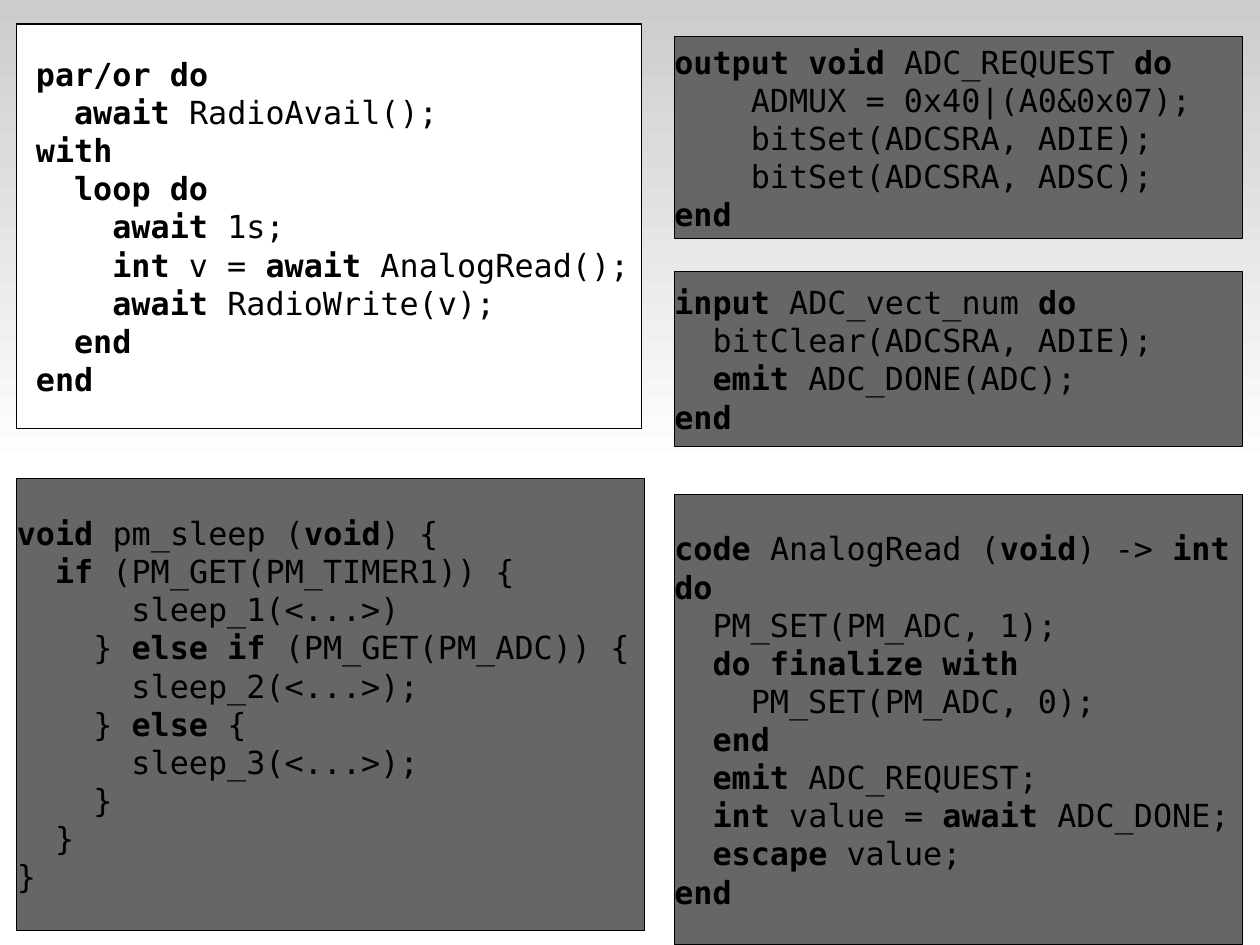
from pptx import Presentation
from pptx.dml.color import RGBColor
from pptx.enum.shapes import MSO_SHAPE
from pptx.enum.text import MSO_ANCHOR, PP_ALIGN
from pptx.util import Pt

COLORS = {"band": "CCCCCC", "white": "FFFFFF", "gray": "666666", "ink": "000000"}
FONT = "DejaVu Sans Mono"
SIZE = 20
CHAR_WIDTH = 0.602 * SIZE
LEFT, RIGHT = 10.6, 424.8
RIGHT_WIDTH = 357.8

# Keywords stand between asterisks; leading spaces become paragraph indents.
RADIO_LOOP = """\
 *par/or do*
   *await* RadioAvail();
 *with*
   *loop do*
     *await* 1s;
     *int* v = *await* AnalogRead();
     *await* RadioWrite(v);
   *end*
 *end*"""

ANALOG_READ = """\
*code* AnalogRead (*void*) -> *int*
*do*
  PM_SET(PM_ADC, 1);
  *do finalize with*
    PM_SET(PM_ADC, 0);
  *end*
  *emit* ADC_REQUEST;
  *int* value = *await* ADC_DONE;
  *escape* value;
*end*"""

ADC_REQUEST = """\
*output void* ADC_REQUEST *do*
    ADMUX = 0x40|(A0&0x07);
    bitSet(ADCSRA, ADIE);
    bitSet(ADCSRA, ADSC);
*end*"""

ADC_INTERRUPT = """\
*input* ADC_vect_num *do*
  bitClear(ADCSRA, ADIE);
  *emit* ADC_DONE(ADC);
*end*"""

PM_SLEEP = """\
*void* pm_sleep (*void*) {
  *if* (PM_GET(PM_TIMER1)) {
      sleep_1(<...>)
    } *else if* (PM_GET(PM_ADC)) {
      sleep_2(<...>);
    } *else* {
      sleep_3(<...>);
    }
  }
}"""

# code, left, top, width, height, fill
PANELS = [
    (RADIO_LOOP, LEFT, 15.1, 393.8, 254.9, "white"),
    (ANALOG_READ, RIGHT, 311.6, RIGHT_WIDTH, 283.7, "gray"),
    (ADC_REQUEST, RIGHT, 23, RIGHT_WIDTH, 127.4, "gray"),
    (ADC_INTERRUPT, RIGHT, 171.2, RIGHT_WIDTH, 110.2, "gray"),
    (PM_SLEEP, LEFT, 301.2, 395.3, 285.1, "gray"),
]


def color(name):
    return RGBColor.from_string(COLORS[name])


def add_rect(left, top, width, height):
    sp = s.shapes.add_shape(MSO_SHAPE.RECTANGLE, Pt(left), Pt(top), Pt(width), Pt(height))
    sp.shadow.inherit = False
    return sp


prs = Presentation()
prs.slide_width, prs.slide_height = Pt(793.7), Pt(595.3)
s = prs.slides.add_slide(prs.slide_layouts[6])

band = add_rect(0, 0, 793.7, 297.6)
band.line.fill.background()
band.fill.gradient()
band.fill.gradient_angle = 270
for stop, name in zip(band.fill.gradient_stops, ("band", "white")):
    stop.color.rgb = color(name)

for code, left, top, width, height, fill in PANELS:
    sp = add_rect(left, top, width, height)
    sp.fill.solid()
    sp.fill.fore_color.rgb = color(fill)
    sp.line.color.rgb = color("ink")
    sp.line.width = Pt(0)
    tf = sp.text_frame
    tf.word_wrap = True
    tf.vertical_anchor = MSO_ANCHOR.MIDDLE
    tf.margin_left = tf.margin_top = tf.margin_right = tf.margin_bottom = 0
    for i, line in enumerate(code.split("\n")):
        p = tf.add_paragraph() if i else tf.paragraphs[0]
        p.alignment = PP_ALIGN.LEFT
        text = line.lstrip()
        indent = Pt((len(line) - len(text)) * CHAR_WIDTH)
        p._p.get_or_add_pPr().set("marL", str(indent))
        for j, part in enumerate(text.split("*")):
            if part:
                r = p.add_run()
                r.text = part
                r.font.name = FONT
                r.font.size = Pt(SIZE)
                r.font.bold = j % 2 == 1
                r.font.color.rgb = color("ink")

prs.save("out.pptx")
